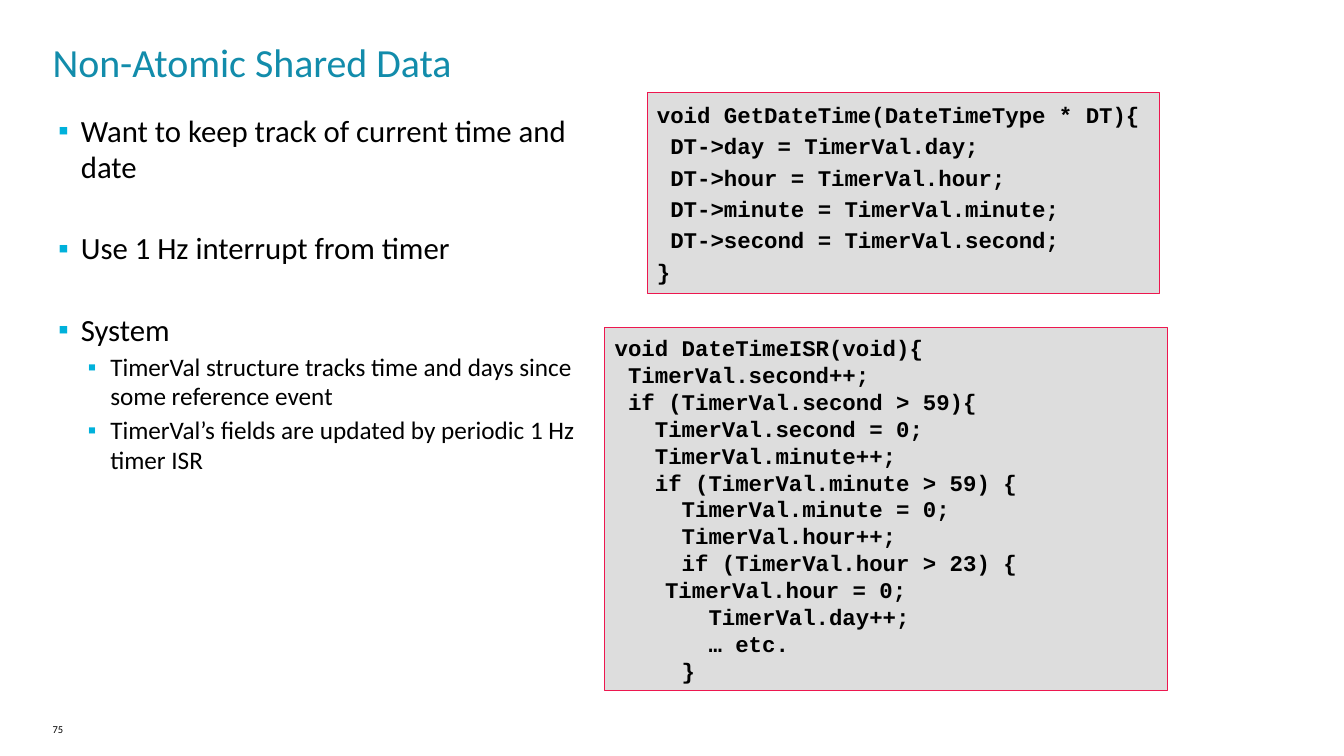
from lxml.etree import SubElement
from pptx import Presentation
from pptx.dml.color import RGBColor
from pptx.enum.shapes import MSO_SHAPE
from pptx.enum.text import MSO_ANCHOR, PP_ALIGN
from pptx.oxml.ns import qn
from pptx.util import Pt

BLACK = RGBColor(0x00, 0x00, 0x00)
TEAL = RGBColor(0x12, 0x8C, 0xAB)
CYAN = RGBColor(0x00, 0xB1, 0xDB)
GREY = RGBColor(0xDD, 0xDD, 0xDD)
CRIMSON = RGBColor(0xED, 0x17, 0x4F)

GET_DATE_TIME = """void GetDateTime(DateTimeType * DT){
 DT->day = TimerVal.day;
 DT->hour = TimerVal.hour;
 DT->minute = TimerVal.minute;
 DT->second = TimerVal.second;
}"""

DATE_TIME_ISR = """void DateTimeISR(void){
 TimerVal.second++;
 if (TimerVal.second > 59){
   TimerVal.second = 0;
   TimerVal.minute++;
   if (TimerVal.minute > 59) {
     TimerVal.minute = 0;
     TimerVal.hour++;
     if (TimerVal.hour > 23) {
	TimerVal.hour = 0;
       TimerVal.day++;
       … etc.
     }"""

# text, level, space before
BULLETS = [
    ("Want to keep track of current time and date", 0, 0),
    ("Use 1 Hz interrupt from timer", 0, 32.3),
    ("System", 0, 32.3),
    ("TimerVal structure tracks time and days since some reference event", 1, 3),
    ("TimerVal’s fields are updated by periodic 1 Hz timer ISR", 1, 3),
]


def add_text_box(left, top, width, height):
    """Add a wrapping text box without insets and return its text frame."""
    tf = s.shapes.add_textbox(Pt(left), Pt(top), Pt(width), Pt(height)).text_frame
    tf.word_wrap = True
    tf.margin_left = tf.margin_top = tf.margin_right = tf.margin_bottom = 0
    return tf


def set_font(p, name, size, color, bold=False):
    for r in p.runs:
        r.font.name = name
        r.font.size = Pt(size)
        r.font.color.rgb = color
        r.font.bold = bold


prs = Presentation()
prs.slide_width, prs.slide_height = Pt(960), Pt(540)
s = prs.slides.add_slide(prs.slide_layouts[6])

# Title and slide number
for text, top, width, height, size, color in [
    ("Non-Atomic Shared Data", 26.6, 879, 45.4, 28.5, TEAL),
    ("75", 516.2, 103, 18.7, 7.5, BLACK),
]:
    tf = add_text_box(37.6, top, width, height)
    tf.text = text
    set_font(tf.paragraphs[0], "Calibri", size, color)

# Bulleted list
tf = add_text_box(41.8, 80.8, 383.8, 441)
for i, (text, level, space_before) in enumerate(BULLETS):
    p = tf.paragraphs[0] if i == 0 else tf.add_paragraph()
    p.text = text
    p.level = level
    pPr = p._p.get_or_add_pPr()
    pPr.set("marL", str(Pt(16 + 21 * level)))
    pPr.set("indent", str(-Pt(16)))
    bullet_color = SubElement(pPr, qn("a:buClr"))
    SubElement(bullet_color, qn("a:srgbClr"), val=str(CYAN))
    SubElement(pPr, qn("a:buSzPct"), val="95000")
    SubElement(pPr, qn("a:buFont"), typeface="Calibri")
    SubElement(pPr, qn("a:buChar"), char="▪")
    p.line_spacing = 0.98
    p.space_before = Pt(space_before)
    set_font(p, "Calibri", 22 - 4 * level, BLACK)

# Code panels
for code, left, top, width, height, gap in [
    (GET_DATE_TIME, 462.2, 66.2, 365.8, 143.3, 3.2),
    (DATE_TIME_ISR, 432, 234, 401.8, 259.2, 0),
]:
    sp = s.shapes.add_shape(MSO_SHAPE.RECTANGLE, Pt(left), Pt(top), Pt(width), Pt(height))
    sp.shadow.inherit = False
    sp.fill.solid()
    sp.fill.fore_color.rgb = GREY
    sp.line.color.rgb = CRIMSON
    sp.line.width = Pt(0.75)
    tf = sp.text_frame
    tf.word_wrap = True
    tf.vertical_anchor = MSO_ANCHOR.MIDDLE
    tf.text = code
    for i, p in enumerate(tf.paragraphs):
        p.alignment = PP_ALIGN.LEFT
        p.line_spacing = Pt(19.2)
        p.space_before = Pt(gap if i else 0)
        set_font(p, "Courier New", 16, BLACK, bold=True)

prs.save("out.pptx")
